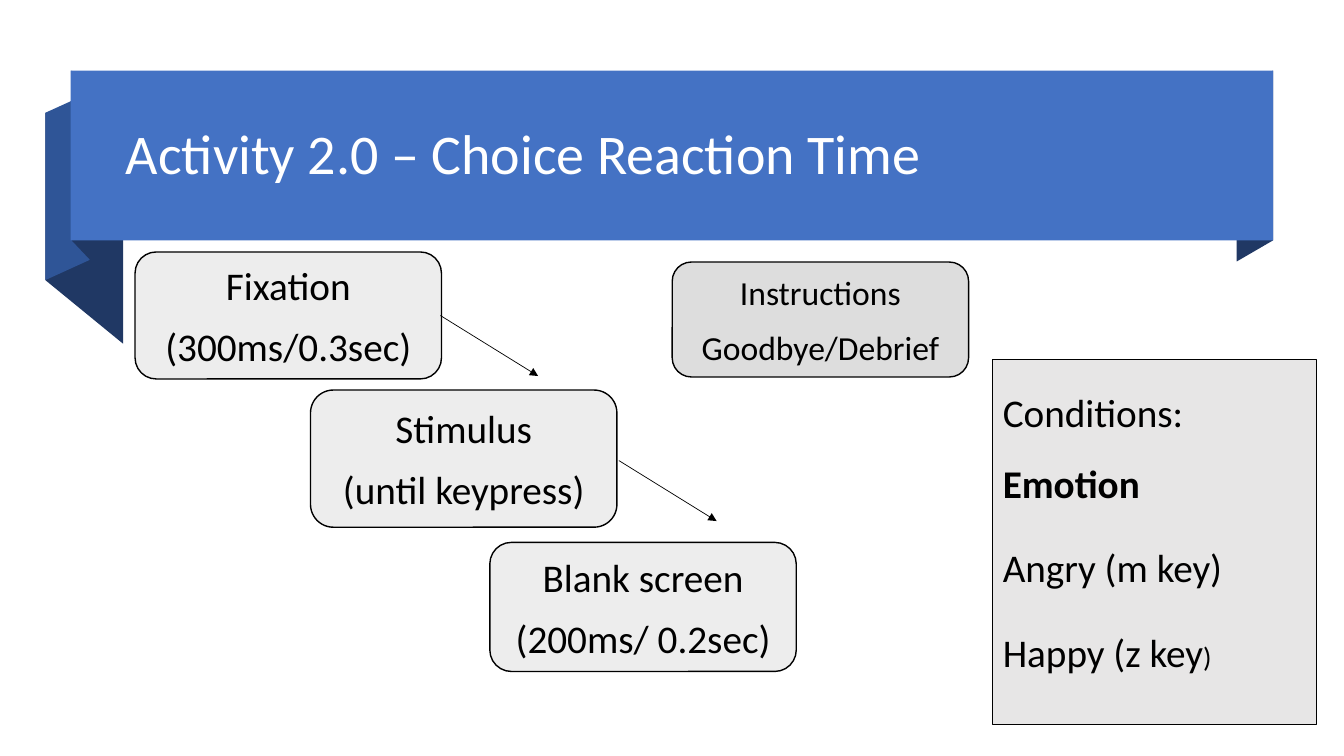
from lxml import etree
from pptx import Presentation
from pptx import util as u
from pptx.dml.color import RGBColor
from pptx.enum import shapes, text
from pptx.oxml.ns import qn

INK, NAVY, BLUE, MID_BLUE = "000000", "203864", "4472C4", "2F5597"
LEFT, CENTER = text.PP_ALIGN.LEFT, text.PP_ALIGN.CENTER


def rgb(hex_code):
    """Turn a hex string into a colour."""
    return RGBColor.from_string(hex_code)


def paint(shape, fill, line_width=None):
    """Give a shape a flat fill and, if a width is given, a black outline."""
    shape.shadow.inherit = False
    shape.fill.solid()
    shape.fill.fore_color.rgb = rgb(fill)
    if line_width is None:
        shape.line.fill.background()
    else:
        shape.line.color.rgb = rgb(INK)
        shape.line.width = u.Pt(line_width)


def write(frame, paragraphs, size, color=INK, align=LEFT, anchor=text.MSO_ANCHOR.MIDDLE,
          spacing=1.0, after=0):
    """Fill a frame with paragraphs, each a list of (words, run overrides)."""
    frame.word_wrap = True
    frame.auto_size = text.MSO_AUTO_SIZE.NONE
    frame.vertical_anchor = anchor
    for index, runs in enumerate(paragraphs):
        paragraph = frame.add_paragraph() if index else frame.paragraphs[0]
        paragraph.alignment = align
        paragraph.line_spacing = spacing
        paragraph.space_before = u.Pt(0)
        paragraph.space_after = u.Pt(after)
        for words, overrides in runs:
            run = paragraph.add_run()
            run.text = words
            run.font.name = "Calibri"
            run.font.size = u.Pt(overrides.get("size", size))
            run.font.bold = overrides.get("bold", False)
            run.font.color.rgb = rgb(color)


def add_box(slide, kind, left, top, width, height, fill, line_width=None):
    """Add a preset shape measured in points."""
    box = slide.shapes.add_shape(kind, *map(u.Pt, (left, top, width, height)))
    paint(box, fill, line_width)
    return box


def add_fold(slide, left, left_top, right, right_top, height, fill):
    """Add a ribbon fold, a parallelogram with two upright sides."""
    corners = [(right, right_top + height), (left, left_top + height),
               (left, left_top), (right, right_top)]
    start, *others = [(u.Pt(x), u.Pt(y)) for x, y in corners]
    outline = slide.shapes.build_freeform(*start)
    outline.add_line_segments(others, close=True)
    paint(outline.convert_to_shape(), fill)


def add_step(slide, left, top, width, height, lines, fill="EDEDED", size=28):
    """Add a rounded box with centred lines."""
    step = add_box(slide, shapes.MSO_SHAPE.ROUNDED_RECTANGLE, left, top, width, height, fill, 1)
    write(step.text_frame, [[(line, {})] for line in lines], size, align=CENTER, after=10)


def add_arrow(slide, left, top, width=69.8, height=43.2):
    """Add a thin arrow that runs down to the right."""
    arrow = slide.shapes.add_connector(
        shapes.MSO_CONNECTOR.STRAIGHT,
        *map(u.Pt, (left, top, left + width, top + height)))
    arrow.line.color.rgb = rgb(INK)
    arrow.line.width = u.Pt(0.5)
    etree.SubElement(arrow.line._get_or_add_ln(), qn("a:tailEnd"), type="triangle")
    etree.SubElement(arrow.element.spPr, qn("a:effectLst"))


def add_banner(slide):
    """Build the folded ribbon and lay the title over it."""
    add_fold(slide, 883.4, 65.5, 909.4, 50.4, 121.3, NAVY)
    add_fold(slide, 32.4, 80.6, 87.9, 126, 119.5, NAVY)
    add_fold(slide, 32.4, 80.6, 64.1, 66.2, 119.5, MID_BLUE)
    add_fold(slide, 51.1, 50.4, 64.1, 64.1, 121.3, NAVY)
    add_box(slide, shapes.MSO_SHAPE.RECTANGLE, 50.4, 50.4, 859, 121.3, BLUE)
    title = slide.shapes.title
    title.left, title.top, title.width, title.height = map(u.Pt, (82.8, 59.8, 811.4, 104.4))
    write(title.text_frame, [[("Activity 2.0 – Choice Reaction Time", {})]], 40,
          color="FFFFFF", spacing=0.9)
    title.element.getparent().append(title.element)


def add_conditions(slide):
    """Add the panel that lists the conditions and their keys."""
    panel = add_box(slide, shapes.MSO_SHAPE.RECTANGLE, 709.2, 257, 231.1, 260.6, "E7E6E6", 0.75)
    write(panel.text_frame,
          [[("Conditions: ", {}), ("Emotion", {"bold": True})],
           [("Angry (m key)", {})],
           [("Happy (z key", {}), (")", {"size": 20})]],
          28, anchor=text.MSO_ANCHOR.TOP, spacing=1.5, after=10)


def main():
    """Build the slide and save it."""
    deck = Presentation()
    deck.slide_width, deck.slide_height = u.Pt(960), u.Pt(540)
    slide = deck.slides.add_slide(deck.slide_layouts[5])
    add_banner(slide)
    add_step(slide, 96.5, 180, 218.9, 90.7, ["Fixation", "(300ms/0.3sec)"])
    add_step(slide, 221.8, 278.6, 218.9, 98, ["Stimulus", "(until keypress)"])
    add_arrow(slide, 314.6, 225.4)
    add_arrow(slide, 442.1, 329)
    add_step(slide, 349.9, 387.4, 218.9, 92.2, ["Blank screen", "(200ms/ 0.2sec)"])
    add_step(slide, 480.2, 187.2, 211.7, 82.1, ["Instructions", "Goodbye/Debrief"],
             fill="DDDDDD", size=24)
    add_conditions(slide)
    deck.save("out.pptx")


if __name__ == "__main__":
    main()
